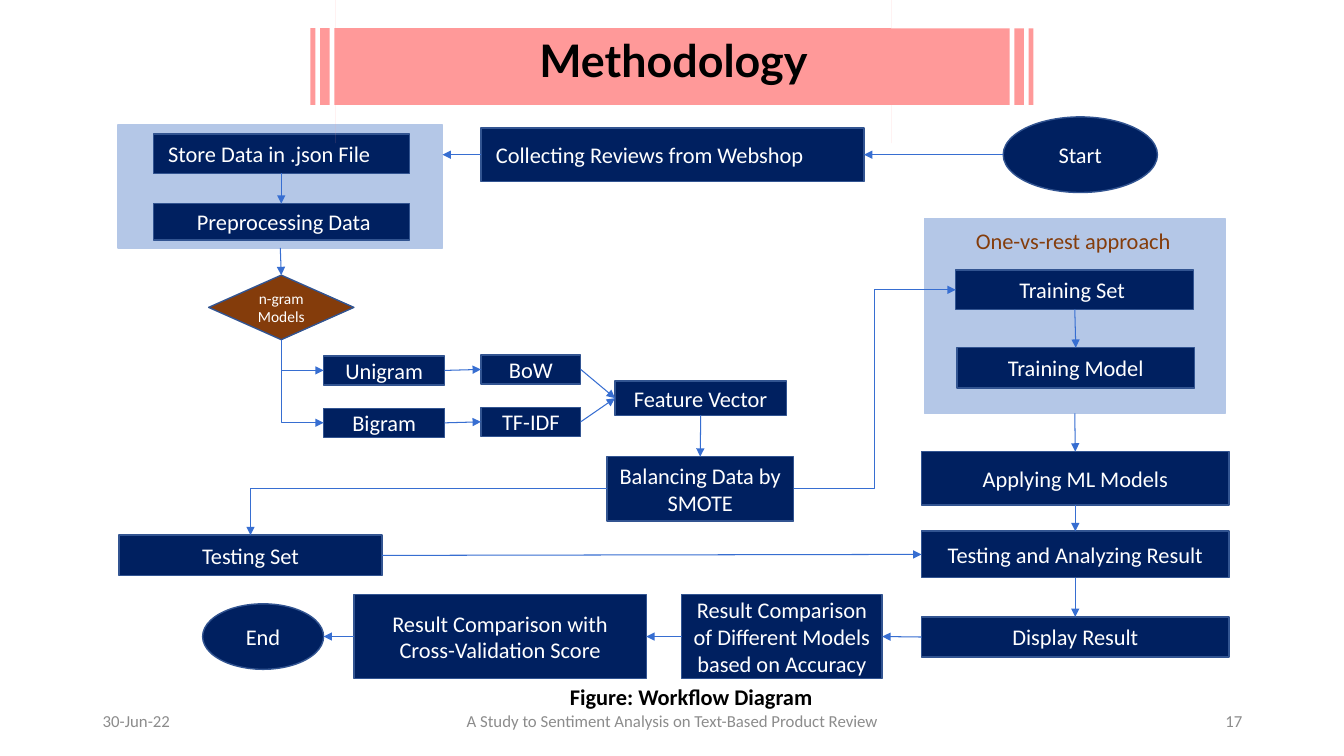
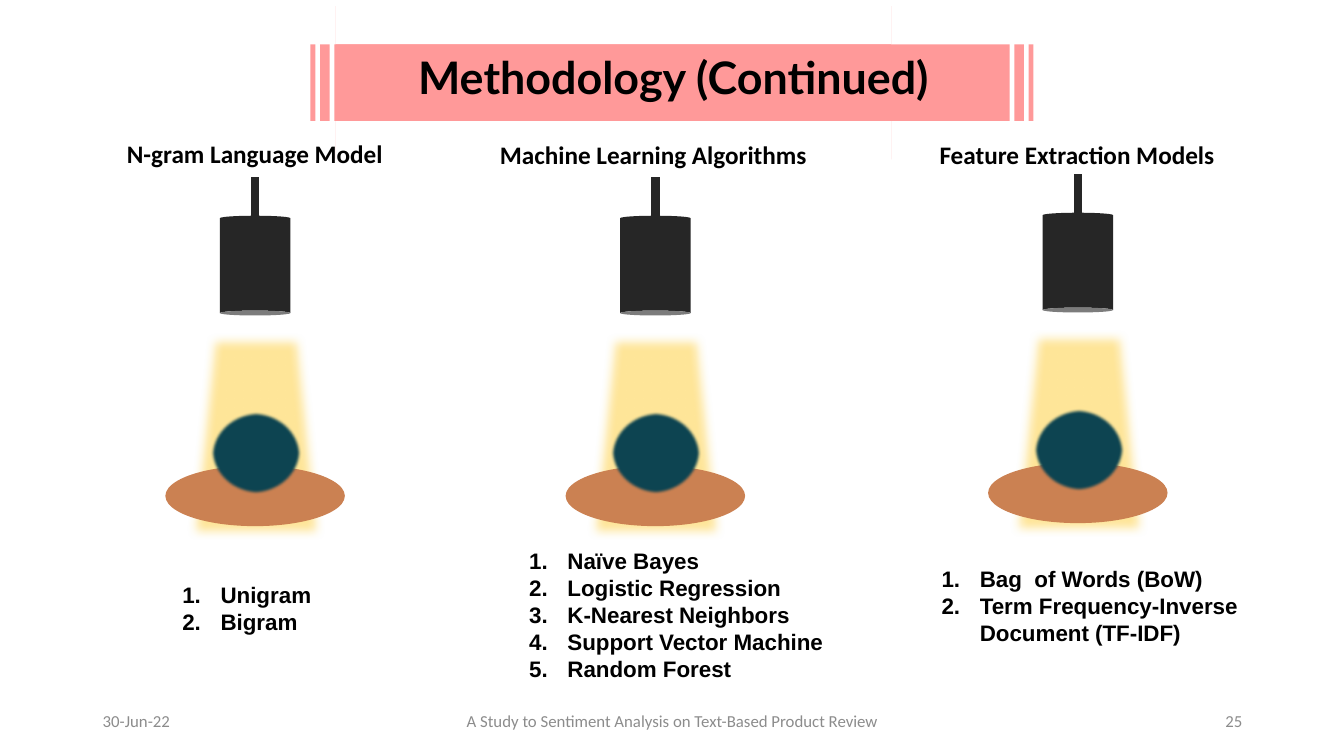
import dataclasses

import lxml.etree
import pptx
import pptx.dml.color
import pptx.enum.shapes
import pptx.enum.text
import pptx.oxml.ns
import pptx.util

Inches = pptx.util.Inches
qn = pptx.oxml.ns.qn
Shape = pptx.enum.shapes.MSO_SHAPE
Wire = pptx.enum.shapes.MSO_CONNECTOR
Align = pptx.enum.text.PP_ALIGN
Anchor = pptx.enum.text.MSO_ANCHOR


@dataclasses.dataclass(frozen=True)
class Theme:
    navy: str = "002060"
    edge: str = "325491"
    panel: str = "B4C7E7"
    arrow: str = "376ED1"
    brown: str = "843C0B"
    band: str = "FF9999"
    black: str = "000000"
    white: str = "FFFFFF"
    grey: str = "8C8C8C"
    lamp: str = "262626"
    beam: str = "FFE699"
    table: str = "CB8152"
    head: str = "0E4552"
    body: str = "Calibri"
    title: str = "Lato"
    list: str = "Arial"
    big: int = 32
    mid: int = 18
    text: int = 16
    foot: int = 12
    small: int = 11


T = Theme()


def rgb(code):
    return pptx.dml.color.RGBColor.from_string(code)


# Text
def write(frame, text, size=T.text, color=T.black, font=T.body, bold=False,
          align=Align.LEFT, anchor=Anchor.TOP, wrap=True, count=False):
    """Fill a frame, one paragraph for each line; count numbers the lines."""
    frame.word_wrap = wrap
    frame.vertical_anchor = anchor
    for i, line in enumerate(text.split("\n")):
        para = frame.add_paragraph() if i else frame.paragraphs[0]
        para.alignment = align
        run = para.add_run()
        run.text = line
        run.font.size = pptx.util.Pt(size)
        run.font.name = font
        run.font.bold = bold
        run.font.color.rgb = rgb(color)
        if count:
            props = para._p.get_or_add_pPr()
            props.set("marL", str(Inches(0.38)))
            props.set("indent", str(-Inches(0.38)))
            lxml.etree.SubElement(props, qn("a:buAutoNum"), type="arabicPeriod")


def label(slide, at, text, **form):
    box = slide.shapes.add_textbox(*map(Inches, at))
    write(box.text_frame, text, **form)


# Shapes
def draw(slide, kind, at, fill, line=None, turn=0, adjust=(), soft=0):
    shape = slide.shapes.add_shape(kind, *map(Inches, at))
    shape.shadow.inherit = False
    shape.fill.solid()
    shape.fill.fore_color.rgb = rgb(fill)
    if line:
        shape.line.color.rgb = rgb(line)
        shape.line.width = pptx.util.Pt(1)
    else:
        shape.line.fill.background()
    shape.rotation = turn
    for i, value in enumerate(adjust):
        shape.adjustments[i] = value
    if soft:
        effects = shape._element.spPr.find(qn("a:effectLst"))
        lxml.etree.SubElement(effects, qn("a:softEdge"), rad=str(Inches(soft)))
    return shape


def node(slide, at, text, kind=Shape.RECTANGLE, fill=T.navy, size=T.text,
         align=Align.CENTER):
    shape = draw(slide, kind, at, fill, T.edge)
    write(shape.text_frame, text, size=size, color=T.white, align=align,
          anchor=Anchor.MIDDLE)
    return shape


# Lines
def wire(slide, start, end, kind=Wire.STRAIGHT, color=T.arrow, width=0.75,
         tip="a:tailEnd", corner=False):
    """Join two points; corner makes one bend, across and then up or down."""
    line = slide.shapes.add_connector(kind, *start, *end)
    line.line.color.rgb = rgb(color)
    line.line.width = pptx.util.Pt(width)
    props = line._element.spPr
    if tip:
        lxml.etree.SubElement(props.find(qn("a:ln")), qn(tip), type="triangle")
    if corner:
        props.find(qn("a:prstGeom")).set("prst", "bentConnector2")
    lxml.etree.SubElement(props, qn("a:effectLst"))


def side(shape, name):
    x, y = shape.left + shape.width // 2, shape.top + shape.height // 2
    return {"top": (x, shape.top), "bottom": (x, shape.top + shape.height),
            "left": (shape.left, y), "right": (shape.left + shape.width, y)}[name]


def link(slide, first, out, last, into, **form):
    wire(slide, side(first, out), side(last, into), **form)


# Shared parts
def start(deck, number):
    slide = deck.slides.add_slide(deck.slide_layouts[6])
    parts = ((0.92, 3, "30-Jun-22", Align.LEFT),
             (4.42, 4.5, "A Study to Sentiment Analysis on Text-Based Product Review",
              Align.CENTER),
             (9.42, 3, str(number), Align.RIGHT))
    for left, width, text, align in parts:
        label(slide, (left, 6.95, width, 0.4), text, size=T.foot, color=T.grey,
              align=align, anchor=Anchor.MIDDLE)
    return slide


def banner(slide, top, text):
    for left, width, turn in ((3.08, 5.76, 0), (3.33, 6.92, 180)):
        draw(slide, Shape.STRIPED_RIGHT_ARROW, (left, top, width, 1.52), T.band,
             turn=turn, adjust=(0.5, 0))
    label(slide, (3.42, top + 0.38, 6.52, 0.64), text, size=T.big, font=T.title,
          bold=True, align=Align.CENTER)


# Slide: workflow
def flow(deck):
    slide = start(deck, 17)
    label(slide, (4.87, 6.73, 3.97, 0.37), "Figure: Workflow Diagram", bold=True,
          align=Align.CENTER)
    store, train = (draw(slide, Shape.RECTANGLE, at, T.panel, T.panel)
                    for at in ((1.17, 1.24, 3.22, 1.22), (9.17, 2.17, 2.98, 1.93)))

    # Data source
    begin = node(slide, (9.95, 1.16, 1.53, 0.75), "Start", Shape.OVAL)
    collect = node(slide, (4.77, 1.27, 3.8, 0.53), " Collecting Reviews from Webshop",
                   align=Align.LEFT)
    save = node(slide, (1.52, 1.33, 2.54, 0.39), " Store Data in .json File",
                align=Align.LEFT)
    clean = node(slide, (1.52, 2.02, 2.54, 0.36), " Preprocessing Data")
    link(slide, begin, "left", collect, "right")
    row = side(collect, "left")
    wire(slide, row, (side(store, "right")[0], row[1]))
    link(slide, save, "bottom", clean, "top")

    # Features
    gram = node(slide, (2.07, 2.73, 1.44, 0.64), "n-gram Models", Shape.DIAMOND,
                T.brown, T.small)
    vector = node(slide, (6.1, 3.78, 1.7, 0.34), "Feature Vector")
    link(slide, store, "bottom", gram, "top")
    for top, model, method in ((3.53, "Unigram", "BoW"), (4.05, "Bigram", "TF-IDF")):
        left = node(slide, (3.21, top, 1.2, 0.29), model)
        right = node(slide, (4.77, top - 0.01, 0.99, 0.29), method)
        link(slide, left, "left", gram, "bottom", kind=Wire.ELBOW, corner=True,
             tip="a:headEnd")
        link(slide, left, "right", right, "left")
        link(slide, right, "right", vector, "left")
    smote = node(slide, (6.02, 4.53, 1.85, 0.64), "Balancing Data by SMOTE")
    link(slide, vector, "bottom", smote, "top")

    # Training
    label(slide, (9.58, 2.2, 2.16, 0.37), "One-vs-rest approach", color=T.brown,
          wrap=False)
    learn = node(slide, (9.48, 2.68, 2.36, 0.39), "Training Set ")
    model = node(slide, (9.49, 3.45, 2.36, 0.4), "Training Model")
    link(slide, smote, "right", learn, "left", kind=Wire.ELBOW)
    link(slide, learn, "bottom", model, "top")

    # Testing
    test = node(slide, (1.18, 5.31, 2.61, 0.4), "Testing Set")
    link(slide, smote, "left", test, "top", kind=Wire.ELBOW, corner=True)
    last = train
    steps = ((4.48, 0.53, "Applying ML Models"),
             (5.27, 0.46, "Testing and Analyzing Result"),
             (6.12, 0.4, "Display Result"))
    for top, height, text in steps:
        step = node(slide, (9.14, top, 3.05, height), text)
        link(slide, last, "bottom", step, "top")
        if "Testing" in text:
            link(slide, test, "right", step, "left")
        last = step

    # Results, from right to left
    ends = (((6.76, 5.9, 1.99, 0.83),
             "Result Comparison of Different Models based on Accuracy", Shape.RECTANGLE),
            ((3.51, 5.9, 2.9, 0.83),
             "Result Comparison with Cross-Validation Score", Shape.RECTANGLE),
            ((2.01, 5.99, 1.2, 0.65), "End", Shape.OVAL))
    for at, text, kind in ends:
        step = node(slide, at, text, kind)
        link(slide, last, "left", step, "right")
        last = step
    banner(slide, -0.1, "Methodology")


# Slide: models under lamps
def lamp(slide, x, y):
    """Draw a lamp hung at (x, y) that lights a table."""
    draw(slide, Shape.TRAPEZOID, (x - 0.7, y + 1.54, 1.42, 2.06), T.beam,
         adjust=(0.15,), soft=0.1)
    draw(slide, Shape.CAN, (x - 0.35, y + 0.38, 0.7, 0.99), T.lamp, turn=180,
         adjust=(0.07,))
    draw(slide, Shape.OVAL, (x - 0.89, y + 2.86, 1.78, 0.6), T.table)
    draw(slide, Shape.OVAL, (x - 0.44, y + 2.32, 0.9, 0.83), T.head, soft=0.03)
    wire(slide, (Inches(x), Inches(y)), (Inches(x), Inches(y + 0.69)),
         color=T.lamp, width=6, tip=None)


def models(deck):
    slide = start(deck, 25)
    banner(slide, 0.06, "Methodology (Continued)")
    groups = (
        (2.53, 1.76, "N-gram Language Model", (1.16, 1.32, 2.75, 0.4),
         "Unigram\nBigram", (1.71, 5.72, 2.3, 0.64)),
        (6.5, 1.76, "Machine Learning Algorithms", (4.86, 1.33, 3.27, 0.4),
         "Naïve Bayes\nLogistic Regression\nK-Nearest Neighbors\n"
         "Support Vector Machine\nRandom Forest", (5.15, 5.38, 3.23, 1.48)),
        (10.69, 1.73, "Feature Extraction Models", (9.22, 1.33, 2.94, 0.4),
         "Bag  of Words (BoW)\nTerm Frequency-Inverse Document (TF-IDF)",
         (9.24, 5.56, 3.23, 0.91)),
    )
    for x, y, name, spot, items, place in groups:
        lamp(slide, x, y)
        label(slide, spot, name, size=T.mid, bold=True)
        label(slide, place, items, font=T.list, bold=True, count=True)


def main():
    deck = pptx.Presentation()
    deck.slide_width, deck.slide_height = Inches(13.33), Inches(7.5)
    flow(deck)
    models(deck)
    deck.save("out.pptx")


if __name__ == "__main__":
    main()
